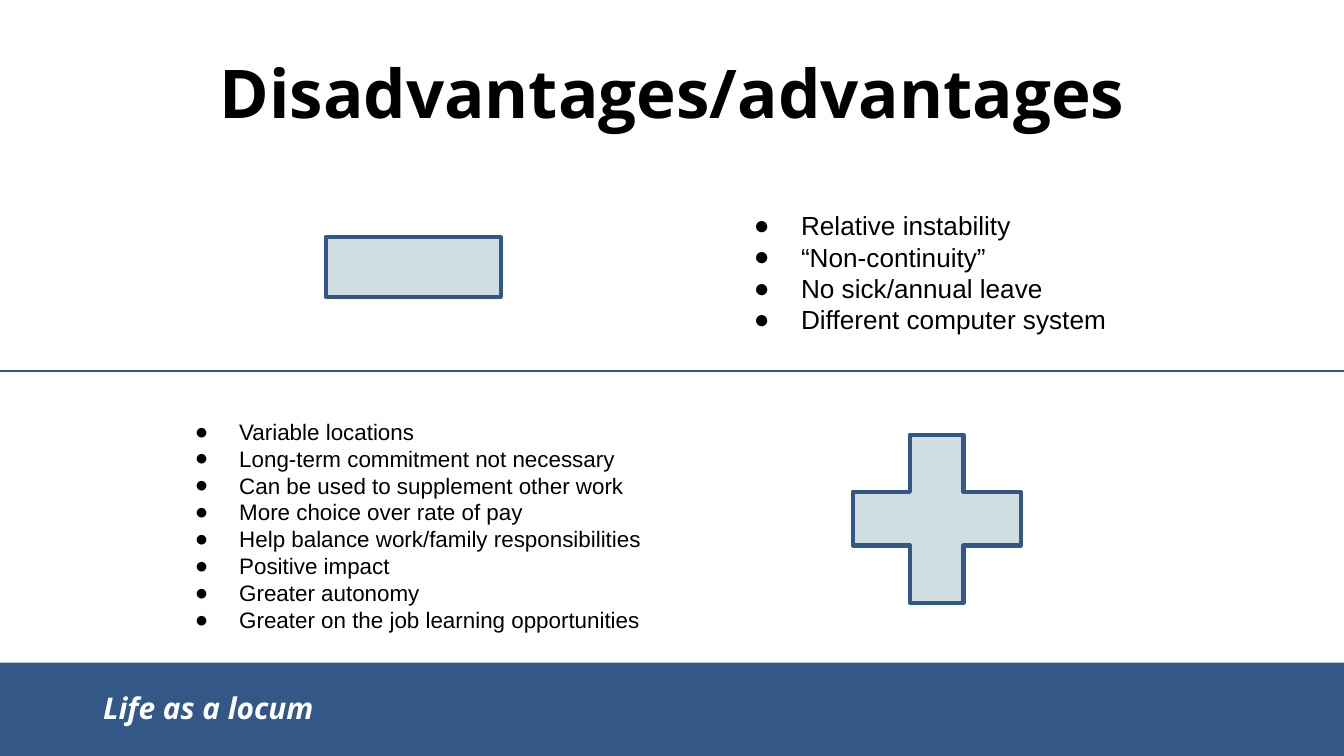
from lxml import etree
from pptx import Presentation
from pptx.dml.color import RGBColor
from pptx.enum import shapes, text
from pptx.oxml import ns
from pptx.util import Inches, Pt

TITLE = "Disadvantages/advantages"
FOOTER = "Life as a locum"
LISTS = [
    {"at": (5.36, 1.46, 4.88, 1.46), "size": 14, "hang": 0.35, "items": [
        "Relative instability",
        "“Non-continuity”",
        "No sick/annual leave",
        "Different computer system",
    ]},
    {"at": (1.18, 3.01, 4.88, 1.7), "size": 12, "hang": 0.33, "items": [
        "Variable locations",
        "Long-term commitment not necessary",
        "Can be used to supplement other work",
        "More choice over rate of pay",
        "Help balance work/family responsibilities",
        "Positive impact",
        "Greater autonomy",
        "Greater on the job learning opportunities",
    ]},
]
SIGNS = [
    (shapes.MSO_SHAPE.MATH_PLUS, (6.12, 3.01, 1.7, 1.7)),
    (shapes.MSO_SHAPE.MATH_MINUS, (2.19, 1.04, 1.77, 1.89)),
]
WIDE = 10
HIGH = WIDE * 9 / 16
BAND_TOP, RULE_Y = 4.93, 2.76
NAVY, TEAL, BLACK, WHITE = "335888", "2B6D78", "000000", "FFFFFF"


def color(target, hex):
    target.rgb = RGBColor.from_string(hex)


def place(shape, at):
    shape.left, shape.top, shape.width, shape.height = map(Inches, at)


def add(parent, tag, **attrs):
    return etree.SubElement(parent, ns.qn(tag), attrs)


def fill(shape, hex):
    shape.shadow.inherit = False
    shape.fill.solid()
    color(shape.fill.fore_color, hex)


def stroke(shape, width):
    color(shape.line.color, NAVY)
    shape.line.width = Pt(width)


def write(shape, lines, hex, anchor=text.MSO_ANCHOR.TOP,
          align=text.PP_ALIGN.LEFT, **font):
    """Fill a text frame with evenly set paragraphs and return them."""
    frame = shape.text_frame
    frame.text = "\n".join(lines)
    look = {"word_wrap": True, "auto_size": text.MSO_AUTO_SIZE.NONE,
            "vertical_anchor": anchor}
    look.update({f"margin_{side}": Inches(0.1)
                 for side in ("left", "right", "top", "bottom")})
    for key, value in look.items():
        setattr(frame, key, value)
    for para in frame.paragraphs:
        para.alignment = align
        para.line_spacing = 1.0
        para.space_before = para.space_after = Pt(0)
        for key, value in font.items():
            setattr(para.runs[0].font, key, value)
        color(para.runs[0].font.color, hex)
    return frame.paragraphs


def bullet(para, hang):
    props = para._p.get_or_add_pPr()
    props.set("marL", str(Inches(0.5)))
    props.set("indent", str(-Inches(hang)))
    add(add(props, "a:buClr"), "a:srgbClr", val=BLACK)
    add(props, "a:buFont", typeface="Arial")
    add(props, "a:buChar", char="●")


def main():
    deck = Presentation()
    deck.slide_width, deck.slide_height = Inches(WIDE), Inches(HIGH)
    slide = deck.slides.add_slide(deck.slide_layouts.get_by_name("Two Content"))
    title, *bodies = slide.placeholders

    band = slide.shapes.add_shape(shapes.MSO_SHAPE.RECTANGLE, 0, 0, 0, 0)
    place(band, (0, BAND_TOP, WIDE, HIGH - BAND_TOP))
    fill(band, NAVY)
    band.line.fill.background()

    place(title, (0.5, 0.14, 9, 0.94))
    write(title, [TITLE], BLACK, text.MSO_ANCHOR.BOTTOM, text.PP_ALIGN.CENTER,
          name="Open Sans", size=Pt(36), bold=True)
    footer = slide.shapes.add_textbox(0, 0, 0, 0)
    place(footer, (0.67, 5.03, 3.9, 0.54))
    write(footer, [FOOTER], WHITE,
          name="Open Sans", size=Pt(16), bold=True, italic=True)

    for kind, at in SIGNS:
        sign = slide.shapes.add_shape(kind, 0, 0, 0, 0)
        place(sign, at)
        fill(sign, TEAL)
        tint = sign.fill._xPr.find(".//" + ns.qn("a:srgbClr"))
        add(tint, "a:alpha", val="22000")
        stroke(sign, 2.25)

    for body, part in zip(bodies, LISTS):
        place(body, part["at"])
        for para in write(body, part["items"], BLACK,
                          name="Arial", size=Pt(part["size"])):
            bullet(para, part["hang"])

    rule = slide.shapes.add_connector(
        shapes.MSO_CONNECTOR.STRAIGHT,
        0, Inches(RULE_Y), Inches(WIDE), Inches(RULE_Y))
    stroke(rule, 1.5)
    add(rule._element.spPr, "a:effectLst")
    deck.save("out.pptx")


if __name__ == "__main__":
    main()
